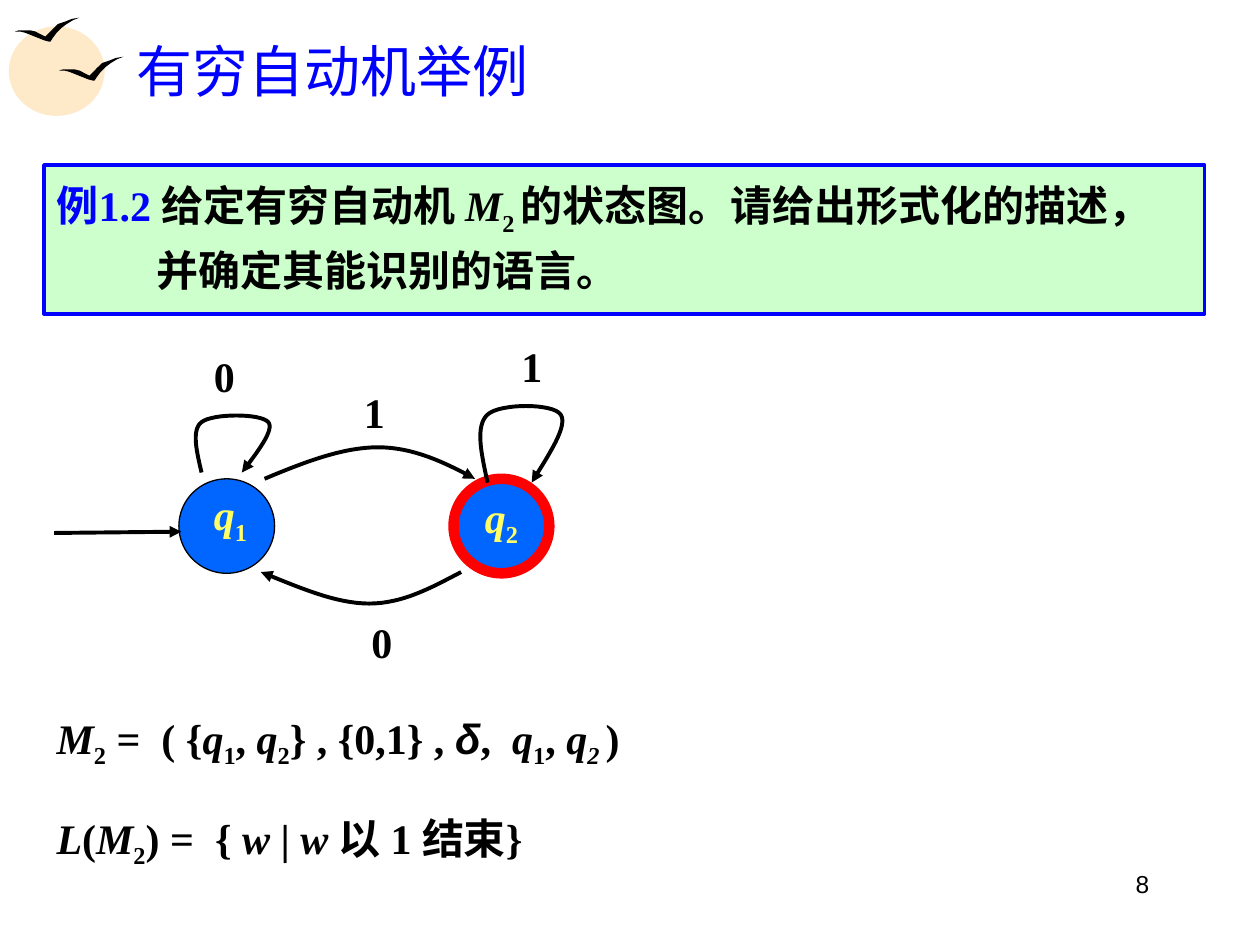
from dataclasses import dataclass

from lxml.etree import SubElement
from pptx import Presentation
from pptx.dml.color import RGBColor as RGB
from pptx.enum.shapes import MSO_CONNECTOR as CONN, MSO_SHAPE as SHAPE
from pptx.enum.text import MSO_ANCHOR as ANCHOR, PP_ALIGN as ALIGN
from pptx.oxml.ns import qn
from pptx.util import Inches, Pt


@dataclass(frozen=True)
class Theme:
    serif: str = "Times New Roman"
    sans: str = "Arial"
    blue: str = "0000FF"
    black: str = "000000"
    sun: str = "FEE9C8"
    mint: str = "CCFFCC"
    state: str = "0066FF"
    accept: str = "FF0000"
    label: str = "FFFF66"
    title_size: int = 32
    body_size: int = 24
    number_size: int = 14
    stroke: float = 2.25


def bezier(start, *segments, steps=16):
    """Sample cubic segments, each given as (control, control, end)."""
    points = [start]
    for c1, c2, end in segments:
        p0 = points[-1]
        for k in range(1, steps + 1):
            t = k / steps
            u = 1 - t
            points.append(tuple(
                u**3 * a + 3 * u * u * t * b + 3 * u * t * t * c + t**3 * d
                for a, b, c, d in zip(p0, c1, c2, end)))
    return points


class SlideBuilder:
    def __init__(self, slide, theme):
        self.s, self.theme = slide, theme

    def paint(self, sp, fill=None, line=None, width=0):
        sp.shadow.inherit = False
        if fill:
            sp.fill.solid()
            sp.fill.fore_color.rgb = RGB.from_string(fill)
        else:
            sp.fill.background()
        if line:
            sp.line.color.rgb = RGB.from_string(line)
            sp.line.width = Pt(width)
        else:
            sp.line.fill.background()

    def set_runs(self, tf, runs, size=None, font=None, color=None, bold=True,
                 align=ALIGN.LEFT, spacing=None, hang=0):
        """Runs are (text, marks, overrides); marks: i = italic, s = subscript."""
        th = self.theme
        p = tf.paragraphs[0]
        p.alignment = align
        if spacing:
            p.line_spacing = spacing
        if hang:
            pPr = p._p.get_or_add_pPr()
            pPr.set("marL", str(Inches(hang)))
            pPr.set("indent", str(-Inches(hang)))
        p.font.size = Pt(size or th.body_size)
        p.font.name = font or th.serif
        p.font.bold = bold
        p.font.color.rgb = RGB.from_string(color or th.black)
        for text, marks, *override in runs:
            r = p.add_run()
            r.text = text
            if "i" in marks:
                r.font.italic = True
            if "s" in marks:
                r._r.get_or_add_rPr().set("baseline", "-25000")
            for special in override:
                if "color" in special:
                    r.font.color.rgb = RGB.from_string(special["color"])
                if "font" in special:
                    r.font.name = special["font"]

    def title(self, text, box):
        sp = self.s.shapes.title
        sp.left, sp.top, sp.width, sp.height = map(Inches, box)
        sp.text_frame.vertical_anchor = ANCHOR.MIDDLE
        self.set_runs(sp.text_frame, [(text, "")], self.theme.title_size,
                      color=self.theme.blue, bold=False)

    def text(self, runs, box, wrap=True, **style):
        tf = self.s.shapes.add_textbox(*map(Inches, box)).text_frame
        tf.word_wrap = wrap
        self.set_runs(tf, runs, **style)

    def shape(self, kind, box, fill, line=None, width=0):
        sp = self.s.shapes.add_shape(kind, *map(Inches, box))
        self.paint(sp, fill, line, width)
        return sp

    def outline(self, points, closed=False):
        pts = [(Inches(x), Inches(y)) for x, y in points]
        fb = self.s.shapes.build_freeform(*pts[0], scale=1.0)
        fb.add_line_segments(pts[1:], close=closed)
        return fb.convert_to_shape()

    def bird(self, x, y, wings):
        sp = self.outline([(x + dx, y + dy) for dx, dy in wings], closed=True)
        self.paint(sp, self.theme.black)

    def arrowhead(self, sp):
        SubElement(sp.line._get_or_add_ln(), qn("a:tailEnd"), type="triangle")

    def curve(self, start, *segments):
        sp = self.outline(bezier(start, *segments))
        self.paint(sp, line=self.theme.black, width=self.theme.stroke)
        self.arrowhead(sp)

    def arrow(self, x1, y1, x2, y2):
        cx = self.s.shapes.add_connector(
            CONN.STRAIGHT, *map(Inches, (x1, y1, x2, y2)))
        cx.line.color.rgb = RGB.from_string(self.theme.black)
        cx.line.width = Pt(self.theme.stroke)
        self.arrowhead(cx)
        SubElement(cx._element.spPr, qn("a:effectLst"))

    def state(self, x, index, label_at, line, width):
        self.shape(SHAPE.OVAL, (x, 3.8, 0.76, 0.75), self.theme.state, line, width)
        self.text([("q", "i"), (index, "s")], (*label_at, 0.46, 0.56), wrap=False,
                  color=self.theme.label, align=ALIGN.CENTER)

    def symbol(self, text, x, y):
        self.text([(text, "")], (x, y, 0.36, 0.5), wrap=False, align=ALIGN.CENTER)


WINGS = [
    (0, 0.11), (0.03, 0.1), (0.08, 0.1), (0.12, 0.1), (0.16, 0.11), (0.2, 0.13),
    (0.24, 0.15), (0.26, 0.13), (0.3, 0.09), (0.34, 0.05), (0.4, 0.03),
    (0.45, 0.01), (0.51, 0), (0.46, 0.02), (0.41, 0.05), (0.37, 0.08),
    (0.33, 0.12), (0.3, 0.16), (0.28, 0.19), (0.27, 0.19), (0.23, 0.18),
    (0.18, 0.16), (0.13, 0.14), (0.08, 0.12), (0.04, 0.11),
]


def main():
    th = Theme()
    prs = Presentation()
    prs.slide_width, prs.slide_height = Inches(10), Inches(7.5)
    b = SlideBuilder(prs.slides.add_slide(prs.slide_layouts[5]), th)

    for box in ((0.07, 0.21, 0.76, 0.71), (0.2, 0.28, 0.63, 0.55)):
        b.shape(SHAPE.OVAL, box, th.sun)
    b.bird(0.47, 0.45, WINGS)
    b.bird(0.12, 0.14, WINGS)
    b.text([("8", "")], (6.89, 6.85, 2.33, 0.52), size=th.number_size,
           font=th.sans, bold=False, align=ALIGN.RIGHT)
    b.title("有穷自动机举例", (0.98, 0.21, 8.53, 0.69))

    example = b.shape(SHAPE.RECTANGLE, (0.35, 1.31, 9.21, 1.18),
                      th.mint, th.blue, th.stroke)
    example.text_frame.word_wrap = True
    example.text_frame.vertical_anchor = ANCHOR.TOP
    b.set_runs(example.text_frame, [
        ("例1.2 ", "", {"color": th.blue}), ("给定有穷自动机 ", ""),
        ("M", "i"), ("2 ", "s"),
        ("的状态图。请给出形式化的描述，并确定其能识别的语言。", ""),
    ], spacing=1.15, hang=0.79)

    b.state(1.42, "1", (1.6, 3.83), th.black, 0.75)
    b.state(3.6, "2", (3.75, 3.85), th.accept, 6)
    b.arrow(0.43, 4.23, 1.44, 4.22)
    b.curve((2.1, 3.8), ((2.41, 3.67), (2.72, 3.55), (3, 3.55)),
            ((3.28, 3.55), (3.53, 3.67), (3.77, 3.8)))
    b.curve((3.66, 4.54), ((3.43, 4.66), (3.2, 4.79), (2.93, 4.79)),
            ((2.66, 4.79), (2.37, 4.66), (2.07, 4.54)))
    b.curve((1.6, 3.75), ((1.56, 3.58), (1.52, 3.41), (1.6, 3.35)),
            ((1.69, 3.28), (2.07, 3.28), (2.13, 3.35)),
            ((2.18, 3.41), (2.05, 3.58), (1.92, 3.75)))
    b.curve((3.87, 3.83), ((3.82, 3.6), (3.77, 3.38), (3.87, 3.29)),
            ((3.97, 3.2), (4.39, 3.2), (4.45, 3.29)),
            ((4.51, 3.38), (4.36, 3.6), (4.22, 3.83)))
    for symbol in (("1", 2.79, 3.02), ("0", 2.85, 4.84),
                   ("0", 1.6, 2.73), ("1", 4.04, 2.65)):
        b.symbol(*symbol)

    q1, q2 = [("q", "i"), ("1", "s")], [("q", "i"), ("2", "s")]
    machine = [("M", "i"), ("2", "s")]
    definition = [*machine, (" =  ( {", ""), *q1, (", ", ""), *q2,
                  ("} , {0,1} , ", ""), ("δ", "i", {"font": th.sans}),
                  (",  ", ""), *q1, (", ", ""), ("q", "i"), ("2 ", "is"), (")", "")]
    language = [("L", "i"), ("(", ""), *machine, (") =  { ", ""), ("w", "i"),
                (" | ", ""), ("w ", "i"), ("以 1 结束}", "")]
    for runs, top in ((definition, 5.56), (language, 6.35)):
        b.text(runs, (0.35, top, 9.15, 0.71), spacing=1.1, hang=0.38)

    prs.save("out.pptx")


if __name__ == "__main__":
    main()
